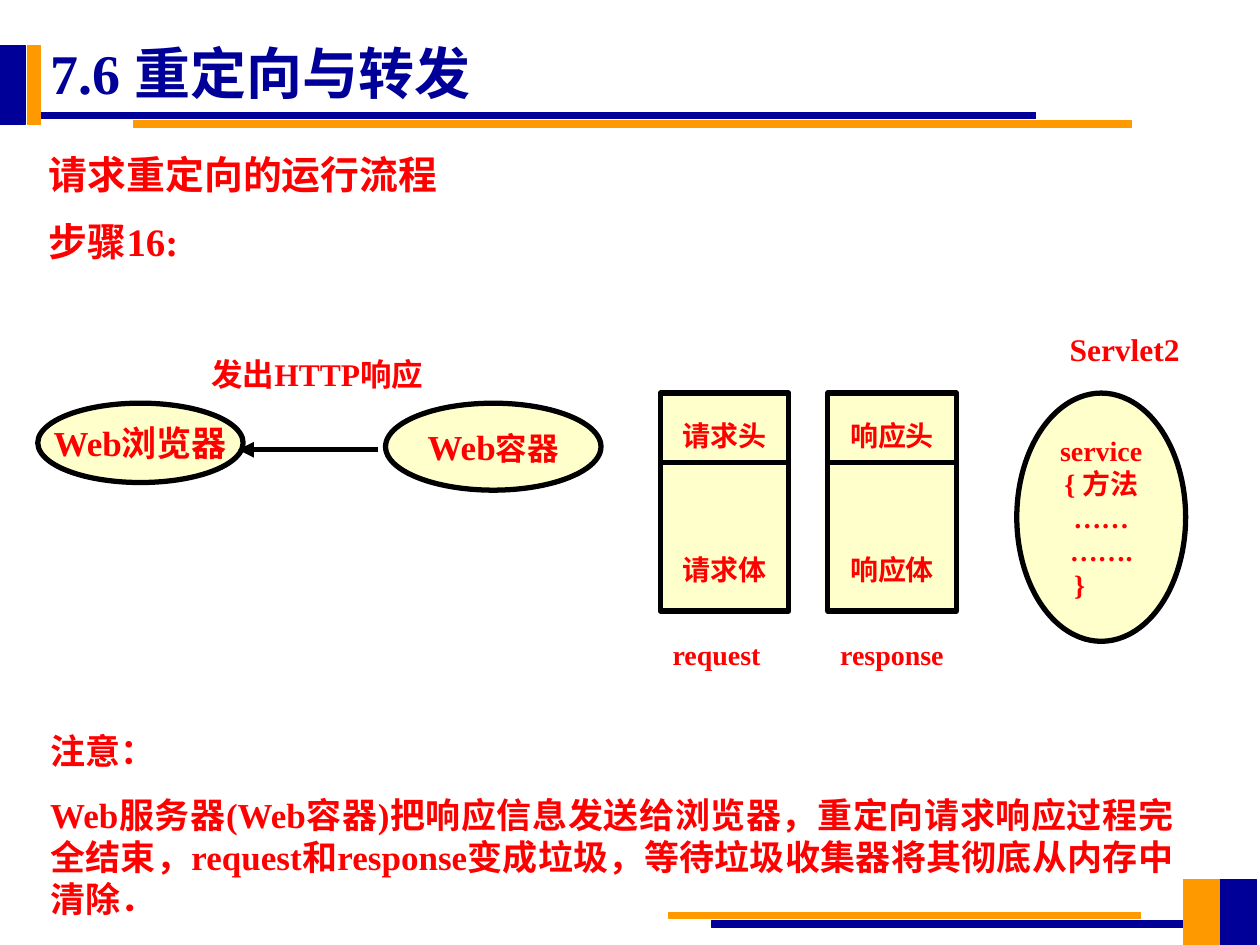
"""Build the slide on the flow of a request redirect."""
import lxml.etree
import pptx
import pptx.dml.color
import pptx.enum.shapes
import pptx.enum.text
import pptx.oxml.ns
import pptx.util

Inches = pptx.util.Inches
Pt = pptx.util.Pt
Kind = pptx.enum.shapes.MSO_SHAPE
Align = pptx.enum.text.PP_ALIGN
Anchor = pptx.enum.text.MSO_ANCHOR
qn = pptx.oxml.ns.qn
NAVY, GOLD, RED, CREAM, BLACK = "000099", "FF9900", "FF0000", "FFFFCC", "000000"
LATIN, HAN = "Times New Roman", "Noto Sans CJK SC"


def tint(code):
    return pptx.dml.color.RGBColor.from_string(code)


def write(box, paras, size, color=RED, align=Align.LEFT, gap=0, pitch=1.2, **extra):
    frame = box.text_frame
    form = {"word_wrap": True, "vertical_anchor": Anchor.TOP,
            "margin_left": Inches(0.1), "margin_right": Inches(0.1),
            "margin_top": Inches(0.05), "margin_bottom": Inches(0.05)}
    for name, value in {**form, **extra}.items():
        setattr(frame, name, value)
    for i, runs in enumerate(paras):
        para = frame.paragraphs[0] if i == 0 else frame.add_paragraph()
        form = {"alignment": align, "line_spacing": Pt(round(size * pitch, 1)),
                "space_before": Pt(gap if i else 0)}
        for name, value in form.items():
            setattr(para, name, value)
        for words, scale in runs if isinstance(runs, list) else [(runs, size)]:
            run = para.add_run()
            run.text = words
            form = {"size": Pt(scale), "bold": True, "name": LATIN}
            for name, value in form.items():
                setattr(run.font, name, value)
            run.font.color.rgb = tint(color)
            face = lxml.etree.SubElement(run._r.get_or_add_rPr(), qn("a:ea"))
            face.set("typeface", HAN)


deck = pptx.Presentation()
deck.slide_width, deck.slide_height = Inches(10), Inches(7.5)
slide = deck.slides.add_slide(deck.slide_layouts[6])
shapes = slide.shapes

bars = [
    (9.68, 6.98, 0.29, 0.52, NAVY),
    (5.31, 7.24, 3.74, 0.05, GOLD),
    (5.65, 7.31, 3.74, 0.05, NAVY),
    (9.39, 6.98, 0.29, 0.52, GOLD),
    (0.3, 0.89, 7.92, 0.05, NAVY),
    (1.06, 0.96, 7.92, 0.05, GOLD),
    (0, 0.36, 0.2, 0.63, NAVY),
    (0.22, 0.36, 0.1, 0.63, GOLD),
]
for *place, color in bars:
    bar = shapes.add_shape(Kind.RECTANGLE, *map(Inches, place))
    bar.shadow.inherit = False
    bar.fill.solid()
    bar.fill.fore_color.rgb = bar.line.color.rgb = tint(color)
    bar.line.width = Pt(0.75)

labels = [
    (0.3, 0.26, 9.65, 0.65, ["7.6 重定向与转发"], 32, {"color": NAVY}),
    (0.29, 0.99, 9.43, 1.1, ["请求重定向的运行流程", "步骤16:"], 22.2, {"pitch": 1.72}),
    (5.24, 5.01, 1.02, 0.37, ["request"], 16, {}),
    (6.57, 5.01, 1.18, 0.37, ["response"], 16, {}),
    (8.39, 2.57, 1.42, 0.4, ["Servlet2"], 18, {}),
    (1.58, 2.77, 2.84, 0.4, ["发出HTTP响应"], 18, {}),
    (0.3, 5.74, 9.11, 1.76, [
        "注意：",
        "Web服务器(Web容器)把响应信息发送给浏览器，重定向请求响应过程完全结束，"
        "request和response变成垃圾，等待垃圾收集器将其彻底从内存中清除．",
    ], 20, {"align": Align.JUSTIFY, "gap": 12.5}),
]
for *place, paras, size, form in labels:
    write(shapes.add_textbox(*map(Inches, place)), paras, size, **form)

slim = {"margin_left": Inches(0.05), "margin_right": Inches(0.05)}
free = {"word_wrap": False}
body = {"gap": 57.6, **free}
nodes = [
    (Kind.OVAL, 0.3, 3.2, 1.63, 0.63, ["Web浏览器"], 20, free),
    (Kind.OVAL, 3.06, 3.2, 1.71, 0.69, [[("Web", 20), ("容器", 18)]], 20, free),
    (Kind.RECTANGLE, 5.24, 3.12, 1.02, 1.73, ["请求头", "请求体"], 16, body),
    (Kind.RECTANGLE, 6.57, 3.12, 1.02, 1.73, ["响应头", "响应体"], 16, body),
    (Kind.OVAL, 8.07, 3.12, 1.34, 1.97,
     ["service", "{ 方法", "……", "…….", "}"], 16, slim),
]
for kind, *place, paras, size, form in nodes:
    node = shapes.add_shape(kind, *map(Inches, place))
    node.shadow.inherit = False
    node.fill.solid()
    node.fill.fore_color.rgb = tint(CREAM)
    node.line.color.rgb = tint(BLACK)
    node.line.width = Pt(3)
    write(node, paras, size, align=Align.CENTER, vertical_anchor=Anchor.MIDDLE, **form)

brace = node.text_frame.paragraphs[-1]
brace.alignment = Align.LEFT
brace._p.get_or_add_pPr().set("marL", str(Inches(0.21)))

for left, right, y in [(5.24, 6.26, 3.67), (6.57, 7.59, 3.67), (3, 1.89, 3.57)]:
    line = shapes.add_connector(pptx.enum.shapes.MSO_CONNECTOR.STRAIGHT,
                                *map(Inches, (left, y, right, y)))
    line.line.color.rgb = tint(BLACK)
    line.line.width = Pt(3)
    if right < left:
        tip = lxml.etree.SubElement(line.line._get_or_add_ln(), qn("a:tailEnd"))
        tip.set("type", "triangle")
    lxml.etree.SubElement(line._element.spPr, qn("a:effectLst"))

deck.save("out.pptx")
